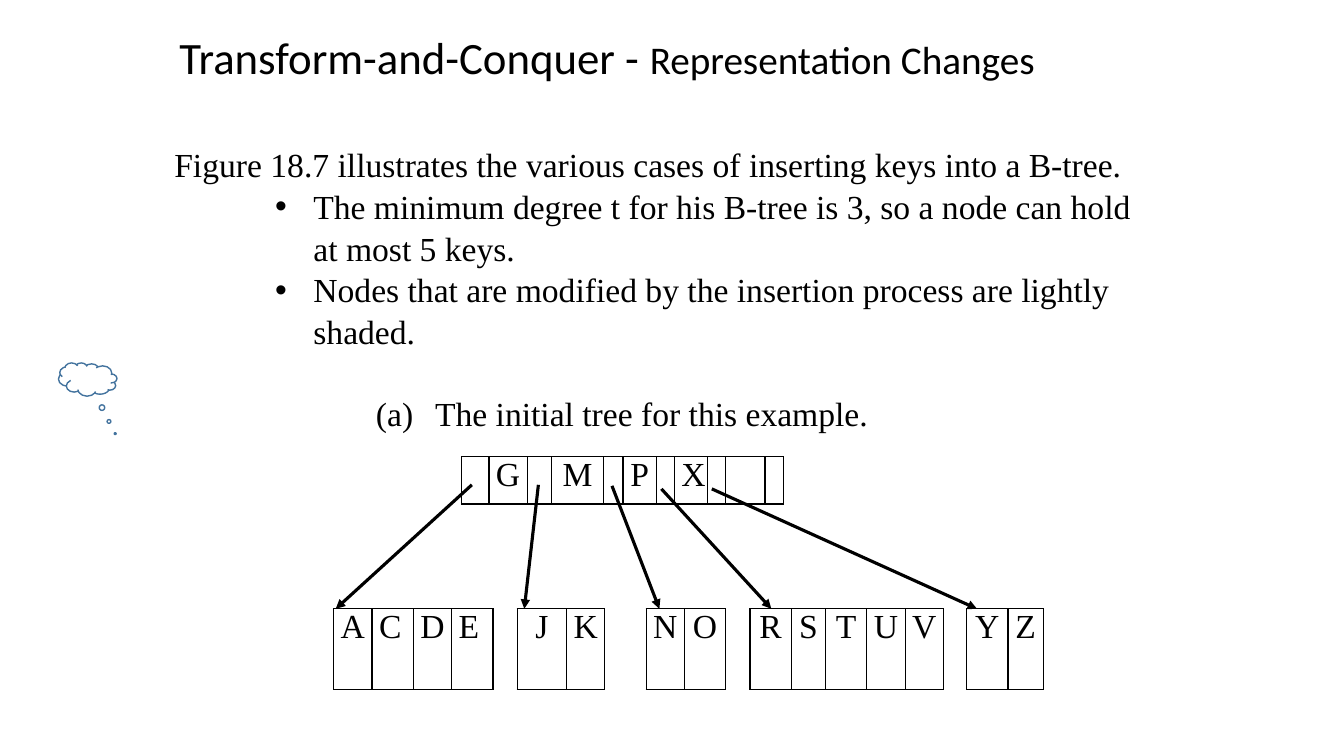
from typing import NamedTuple

from lxml import etree
from pptx import Presentation
from pptx.dml.color import RGBColor
from pptx.enum import shapes, text
from pptx.oxml import ns
from pptx.util import Inches, Pt

BLACK = RGBColor(0x00, 0x00, 0x00)
WHITE = RGBColor(0xFF, 0xFF, 0xFF)
CLOUD_BLUE = RGBColor(0x43, 0x73, 0x9E)
SERIF = "Times New Roman"
SANS = "Calibri"
LEFT, CENTER = text.PP_ALIGN.LEFT, text.PP_ALIGN.CENTER


class Cell(NamedTuple):
    width: float
    key: str = ""
    align: text.PP_ALIGN = CENTER
    is_gap: bool = False


class Pointer(NamedTuple):
    start: tuple[float, float]
    end: tuple[float, float]


class Bullet(NamedTuple):
    tag: str
    attribute: str
    value: str
    margin: float
    hanging: float
    level: int


DOT = Bullet("a:buChar", "char", "•", 1.38, 0.38, 2)
LETTER = Bullet("a:buAutoNum", "type", "alphaLcParenBoth", 2.51, 0.51, 4)

ROOT = [
    Cell(0.27), Cell(0.38, "G"), Cell(0.24), Cell(0.52, "M"), Cell(0.19), Cell(0.33, "P"),
    Cell(0.18), Cell(0.33, "X"), Cell(0.18), Cell(0.39), Cell(0.18),
]
LEAVES = [
    Cell(0.38, "A", LEFT), Cell(0.41, "C", LEFT), Cell(0.38, "D", LEFT), Cell(0.41, "E", LEFT),
    Cell(0.24, is_gap=True), Cell(0.49, "J"), Cell(0.38, "K"),
    Cell(0.41, is_gap=True), Cell(0.38, "N"), Cell(0.41, "O"),
    Cell(0.24, is_gap=True), Cell(0.41, "R"), Cell(0.34, "S"), Cell(0.41, "T"),
    Cell(0.38, "U"), Cell(0.38, "V"),
    Cell(0.23, is_gap=True), Cell(0.41, "Y"), Cell(0.35, "Z"),
]
LEAF_TOP = 6.04
POINTERS = [
    Pointer((4.68, 4.81), (3.33, LEAF_TOP)),
    Pointer((5.34, 4.81), (5.20, LEAF_TOP)),
    Pointer((6.07, 4.82), (6.54, LEAF_TOP)),
    Pointer((6.56, 4.85), (7.65, LEAF_TOP)),
    Pointer((7.06, 4.85), (9.69, LEAF_TOP)),
]
EXPLANATION = [
    ("Figure 18.7 illustrates the various cases of inserting keys into a B-tree.", None, 0),
    ("The minimum degree t for his B-tree is 3, so a node can hold at most 5 keys.", DOT, 0),
    ("Nodes that are modified by the insertion process are lightly shaded.", DOT, 0),
    (" The initial tree for this example.", LETTER, 28.7),
]


def write(paragraph, words: str, *, size: float = 24, font: str = SERIF,
          color: RGBColor = BLACK, align: text.PP_ALIGN = LEFT) -> None:
    """Append a formatted run to a paragraph."""
    paragraph.alignment = align
    run = paragraph.add_run()
    run.text = words
    run.font.size, run.font.name = Pt(size), font
    run.font.color.rgb = color


def set_bullet(paragraph, bullet: Bullet) -> None:
    paragraph.level = bullet.level
    properties = paragraph._p.get_or_add_pPr()
    properties.set("marL", str(Inches(bullet.margin)))
    properties.set("indent", str(-Inches(bullet.hanging)))
    if bullet is DOT:
        etree.SubElement(properties, ns.qn("a:buFont")).set("typeface", "Arial")
    etree.SubElement(properties, ns.qn(bullet.tag)).set(bullet.attribute, bullet.value)


def set_border(cell, side: int, tag: str, color: RGBColor, width: float) -> None:
    line = etree.Element(ns.qn(tag), w=str(Pt(width)))
    fill = etree.SubElement(line, ns.qn("a:solidFill"))
    etree.SubElement(fill, ns.qn("a:srgbClr")).set("val", str(color))
    cell._tc.get_or_add_tcPr().insert(side, line)


def add_nodes(slide, cells: list[Cell], left: float, top: float, height: float) -> None:
    """Draw one level of the tree as a single-row table."""
    total = sum(cell.width for cell in cells)
    table = slide.shapes.add_table(
        1, len(cells), Inches(left), Inches(top), Inches(total), Inches(height)).table
    table.first_row = table.horz_banding = False
    table.rows[0].height = Inches(height)
    for column, item in enumerate(cells):
        table.columns[column].width = Inches(item.width)
        cell = table.cell(0, column)
        cell.margin_left = cell.margin_right = Inches(0.07)
        cell.margin_top = cell.margin_bottom = 0
        cell.fill.solid()
        cell.fill.fore_color.rgb = WHITE
        if item.key:
            write(cell.text_frame.paragraphs[0], item.key, align=item.align)
        edge = WHITE if item.is_gap else BLACK
        borders = [("a:lnL", BLACK, 1), ("a:lnR", BLACK, 1),
                   ("a:lnT", edge, 1), ("a:lnB", edge, 3 if item.is_gap else 1)]
        for side, border in enumerate(borders):
            set_border(cell, side, *border)


def add_pointer(slide, pointer: Pointer) -> None:
    arrow = slide.shapes.add_connector(
        shapes.MSO_CONNECTOR.STRAIGHT,
        *(Inches(value) for value in pointer.start + pointer.end))
    arrow.line.color.rgb = BLACK
    arrow.line.width = Pt(2.25)
    etree.SubElement(arrow.line._get_or_add_ln(), ns.qn("a:tailEnd")).set("type", "triangle")
    etree.SubElement(arrow._element.spPr, ns.qn("a:effectLst"))


def place(shape, left: float, top: float, width: float, height: float) -> None:
    shape.left, shape.top = Inches(left), Inches(top)
    shape.width, shape.height = Inches(width), Inches(height)


def main() -> None:
    deck = Presentation()
    deck.slide_width, deck.slide_height = Inches(13.33), Inches(7.5)
    slide = deck.slides.add_slide(deck.slide_layouts[5])

    # Title
    title = slide.shapes.title
    place(title, 1.68, 0.24, 8.98, 0.64)
    title.text_frame.vertical_anchor = text.MSO_ANCHOR.TOP
    heading = title.text_frame.paragraphs[0]
    write(heading, "Transform-and-Conquer - ", size=32, font=SANS)
    write(heading, "Representation Changes", size=28, font=SANS)

    # Explanation
    explanation = slide.shapes.add_textbox(
        Inches(1.63), Inches(1.36), Inches(9.85), Inches(2.93)).text_frame
    explanation.word_wrap = True
    for number, (words, bullet, space_before) in enumerate(EXPLANATION):
        paragraph = explanation.add_paragraph() if number else explanation.paragraphs[0]
        paragraph.line_spacing = 1.04
        paragraph.space_before = Pt(space_before)
        write(paragraph, words)
        if bullet:
            set_bullet(paragraph, bullet)

    # B-tree: root, leaves and child pointers
    add_nodes(slide, ROOT, 4.58, 4.53, 0.47)
    add_nodes(slide, LEAVES, 3.31, LEAF_TOP, 0.8)
    for pointer in POINTERS:
        add_pointer(slide, pointer)

    # Thought cloud
    cloud = slide.shapes.add_shape(
        shapes.MSO_SHAPE.CLOUD_CALLOUT, Inches(0.58), Inches(3.6), Inches(0.58), Inches(0.33))
    cloud.adjustments[0], cloud.adjustments[1] = -0.47, 1.63
    cloud._element.spPr.xfrm.set("flipH", "1")
    cloud.shadow.inherit = False
    cloud.fill.solid()
    cloud.fill.fore_color.rgb = WHITE
    cloud.line.color.rgb = CLOUD_BLUE
    cloud.line.width = Pt(1)

    deck.save("out.pptx")


if __name__ == "__main__":
    main()
